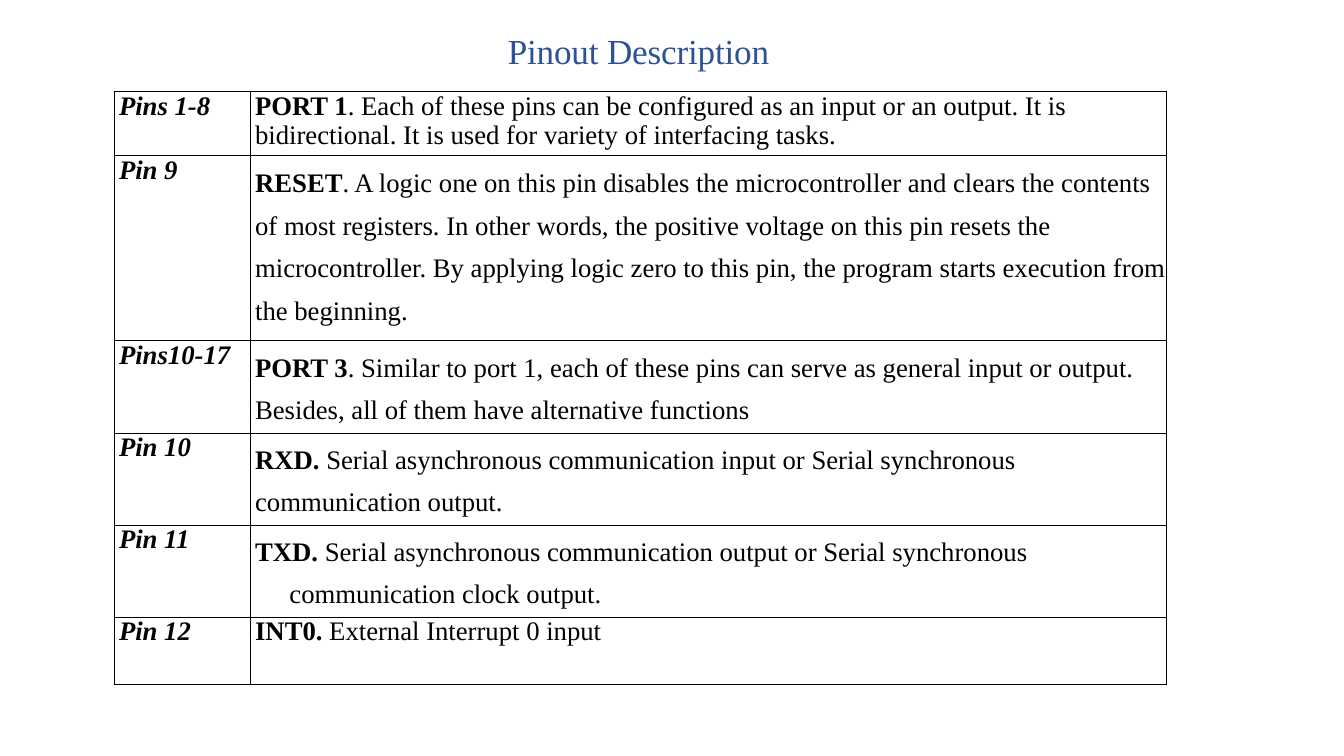
from pptx import Presentation, util as u
from pptx.dml.color import RGBColor
from pptx.oxml import parse_xml
from pptx.oxml.ns import nsdecls

Cm = u.Cm


def style(run, size, color, bold=False, italic=False):
    run.font.name = "Times New Roman"
    run.font.size = u.Pt(size)
    run.font.bold = bold
    run.font.italic = italic
    run.font.color.rgb = RGBColor.from_string(color)


deck = Presentation()
deck.slide_width = Cm(49.68)
deck.slide_height = Cm(27.94)
slide = deck.slides.add_slide(deck.slide_layouts[6])

heading = slide.shapes.add_textbox(Cm(18.69), Cm(1.07), Cm(9.93), Cm(1.57)).text_frame
heading.margin_left = Cm(0.08)
heading.margin_right = heading.margin_top = heading.margin_bottom = 0
heading.word_wrap = True
heading.text = "Pinout Description"
heading_run = heading.paragraphs[0].runs[0]
style(heading_run, 36.8, "2E5395")
heading_run._r.get_or_add_rPr().set("spc", "-20")

pins = [
    ("Pins 1-8", "PORT 1",
     ". Each of these pins can be configured as an input or an output. It is "
     "bidirectional. It is used for variety of interfacing tasks.", 1.7, None),
    ("Pin 9", "RESET",
     ". A logic one on this pin disables the microcontroller and clears the contents "
     "of most registers. In other words, the positive voltage on this pin resets the "
     "microcontroller. By applying logic zero to this pin, the program starts execution "
     "from the beginning.", 6.76, 1.44),
    ("Pins10-17", "PORT 3",
     ". Similar to port 1, each of these pins can serve as general input or output. "
     "Besides, all of them have alternative functions", 3.4, 1.44),
    ("Pin 10", "RXD.",
     " Serial asynchronous communication input or Serial synchronous "
     "communication output.", 3.4, 1.43),
    ("Pin 11", "TXD.",
     " Serial asynchronous communication output or Serial synchronous "
     "communication clock output.", 3.4, 1.43),
    ("Pin 12", "INT0.", " External Interrupt 0 input", 2.51, None),
]

pinout = slide.shapes.add_table(
    len(pins), 2, Cm(4.22), Cm(3.38), Cm(38.89), Cm(21.17)).table
pinout.first_row = False
pinout.horz_banding = False
pinout.columns[0].width = Cm(5.03)
pinout.columns[1].width = Cm(33.86)

for row, (pin, signal, description, height, spacing) in enumerate(pins):
    pinout.rows[row].height = Cm(height)
    label, detail = pinout.cell(row, 0), pinout.cell(row, 1)
    for cell in (label, detail):
        cell.margin_left = cell.margin_right = cell.margin_top = cell.margin_bottom = 0
        properties = cell._tc.get_or_add_tcPr()
        for side in ("lnL", "lnR", "lnT", "lnB"):
            properties.append(parse_xml(
                f'<a:{side} {nsdecls("a")} w="{u.Pt(0.58)}"><a:solidFill>'
                f'<a:srgbClr val="000000"/></a:solidFill></a:{side}>'))
        cell.fill.background()
        indents = cell.text_frame.paragraphs[0]._p.get_or_add_pPr()
        indents.set("marL", str(Cm(0.18)))
        indents.set("indent", "0")

    label.text_frame.paragraphs[0].text = pin
    style(label.text_frame.paragraphs[0].runs[0], 28, "000000", True, True)

    wording = detail.text_frame.paragraphs[0]
    if spacing:
        wording.line_spacing = spacing
    if pin == "Pin 11":
        indents.set("marL", str(Cm(1.45)))
        indents.set("indent", str(Cm(-1.27)))
    for part, bold in ((signal, True), (description, False)):
        run = wording.add_run()
        run.text = part
        style(run, 28, "000000", bold)

deck.save("out.pptx")
